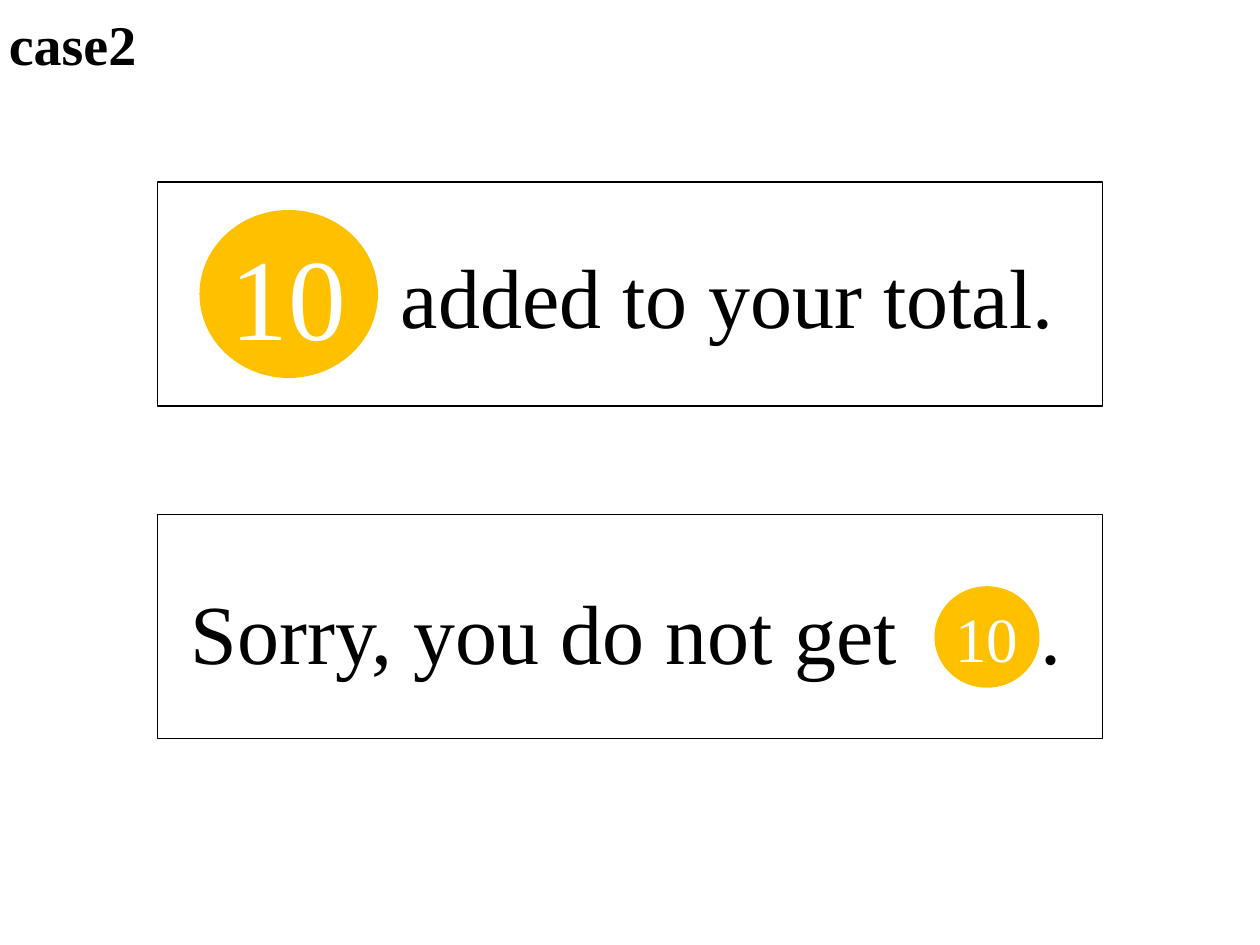
from lxml import etree
from pptx import Presentation
from pptx import util as u
from pptx.dml.color import RGBColor
from pptx.enum import shapes, text
from pptx.oxml.ns import qn

COLORS = {"ink": "000000", "coin": "FFC000", "coin_number": "FFFFFF"}


class MessageSlide:
    font_name = "Times New Roman"

    def __init__(self, slide):
        self.slide = slide
        self.target = slide.shapes

    def start_group(self):
        self.target = self.slide.shapes.add_group_shape().shapes

    def end_group(self):
        self.target = self.slide.shapes

    def color(self, name):
        return RGBColor.from_string(COLORS[name])

    def style(self, paragraph, size, color, bold=False):
        paragraph.font.name = self.font_name
        paragraph.font.size = u.Pt(size)
        paragraph.font.bold = bold
        paragraph.font.color.rgb = self.color(color)

    def sentence(self, words, left, top, width, height, size=48, bold=False, tab=None):
        box = self.target.add_textbox(*map(u.Pt, (left, top, width, height)))
        frame = box.text_frame
        frame.word_wrap = True
        frame.vertical_anchor = text.MSO_ANCHOR.MIDDLE
        paragraph = frame.paragraphs[0]
        paragraph.text = words
        paragraph.line_spacing = 0.9
        if tab:
            stops = etree.SubElement(paragraph._p.get_or_add_pPr(), qn("a:tabLst"))
            etree.SubElement(stops, qn("a:tab"), pos=str(u.Pt(tab)), algn="l")
        self.style(paragraph, size, "ink", bold)

    def shape(self, kind, left, top, width, height):
        shape = self.target.add_shape(kind, *map(u.Pt, (left, top, width, height)))
        shape.shadow.inherit = False
        return shape

    def frame(self, top):
        border = self.shape(shapes.MSO_SHAPE.RECTANGLE, 90, top, 540, 128)
        border.fill.background()
        border.line.color.rgb = self.color("ink")
        border.line.width = u.Pt(0.75)

    def coin(self, left, top, width, height, size):
        coin = self.shape(shapes.MSO_SHAPE.OVAL, left, top, width, height)
        coin.fill.solid()
        coin.fill.fore_color.rgb = self.color("coin")
        coin.line.fill.background()
        frame = coin.text_frame
        frame.word_wrap = False
        frame.vertical_anchor = text.MSO_ANCHOR.MIDDLE
        frame.margin_left = frame.margin_right = u.Pt(3)
        frame.margin_top = frame.margin_bottom = u.Pt(3)
        number = frame.paragraphs[0]
        number.text = "10"
        number.alignment = text.PP_ALIGN.CENTER
        self.style(number, size, "coin_number")


def main():
    deck = Presentation()
    deck.slide_width, deck.slide_height = u.Pt(720), u.Pt(540)
    page = MessageSlide(deck.slides.add_slide(deck.slide_layouts[6]))

    page.start_group()
    page.sentence("added to your total.", 222, 108, 432, 128)
    page.frame(104)
    page.coin(114, 120, 102, 96, 66)

    page.start_group()
    page.sentence("Sorry, you do not get\t.", 102, 300, 540, 128, tab=485.5)
    page.frame(294)
    page.coin(534, 335, 60, 58, 36)

    page.end_group()
    page.sentence("case2", -2, 0, 138, 54, size=32, bold=True)
    deck.save("out.pptx")


if __name__ == "__main__":
    main()
